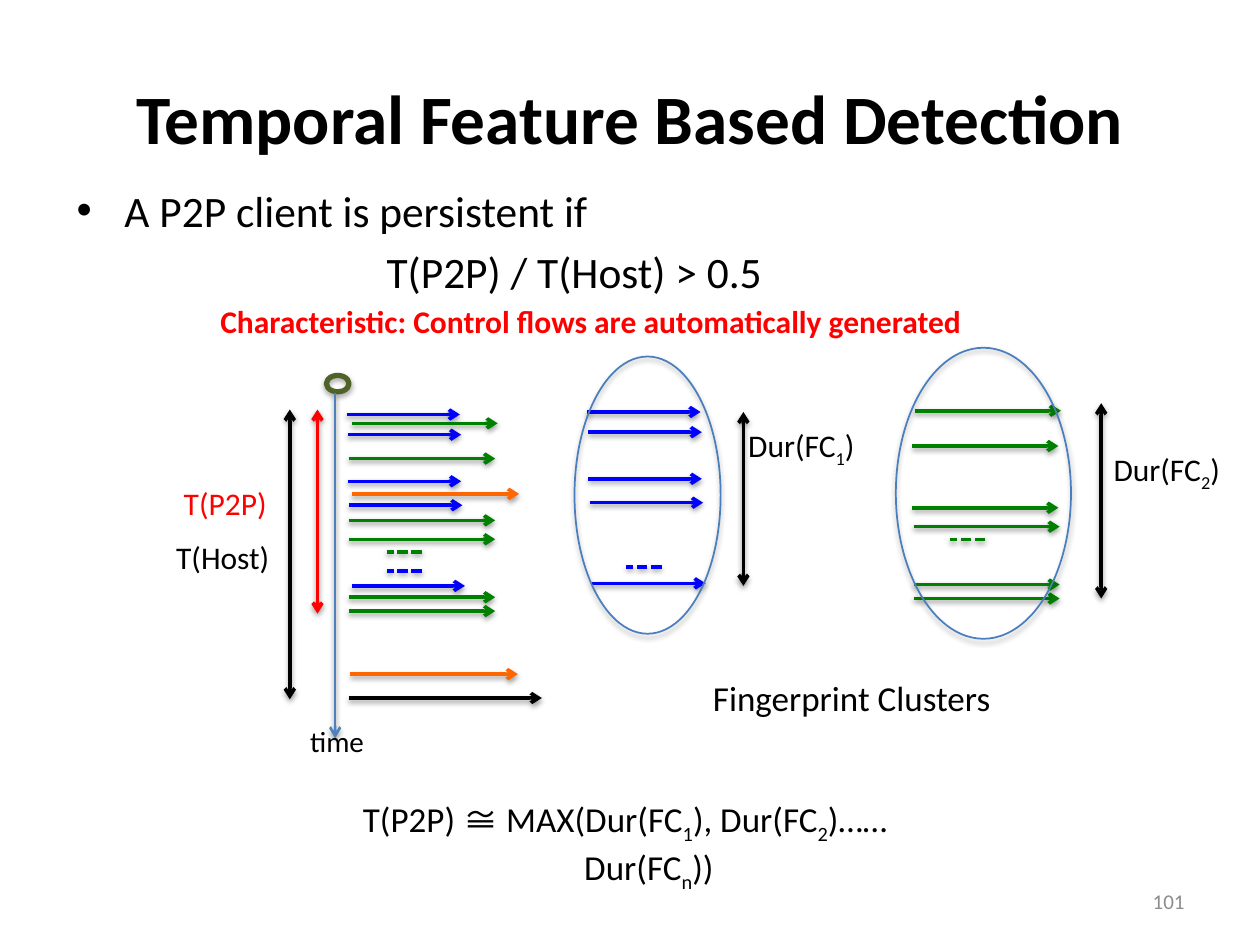
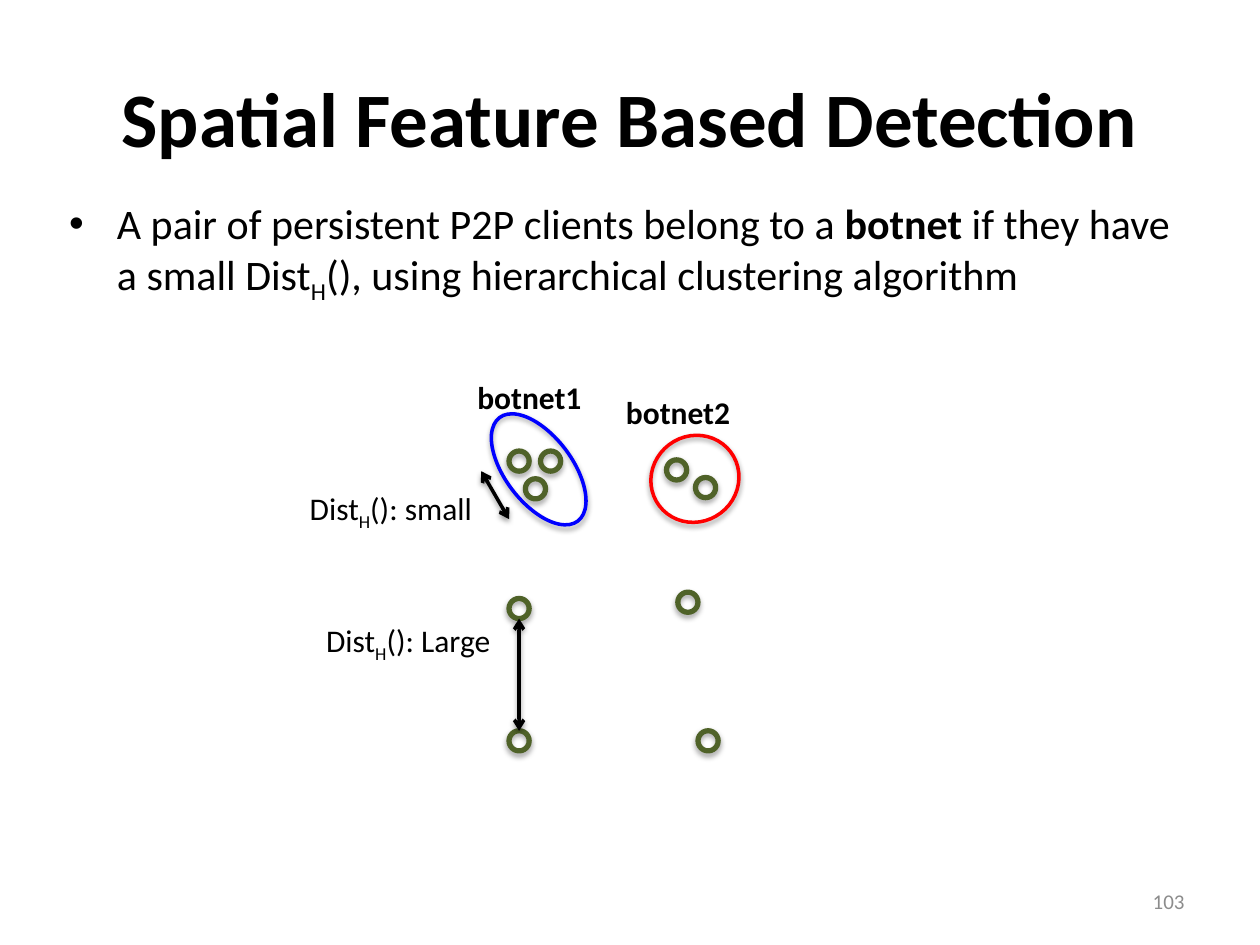
"""Build two slides on temporal and spatial features for botnet detection."""
from lxml import etree
from pptx import Presentation
from pptx.dml.color import RGBColor
from pptx.enum.dml import MSO_LINE
from pptx.enum.shapes import MSO_CONNECTOR, MSO_SHAPE
from pptx.enum.text import MSO_ANCHOR, PP_ALIGN
from pptx.oxml.ns import qn
from pptx.util import Inches, Pt

OVAL, STRAIGHT = MSO_SHAPE.OVAL, MSO_CONNECTOR.STRAIGHT
LEFT, CENTER, RIGHT = PP_ALIGN.LEFT, PP_ALIGN.CENTER, PP_ALIGN.RIGHT
TOP, MIDDLE = MSO_ANCHOR.TOP, MSO_ANCHOR.MIDDLE
DASHED = MSO_LINE.SQUARE_DOT

BLACK = RGBColor(0x00, 0x00, 0x00)
GRAY = RGBColor(0x8C, 0x8C, 0x8C)
RED = RGBColor(0xFF, 0x00, 0x00)
BLUE = RGBColor(0x00, 0x00, 0xFF)
GREEN = RGBColor(0x00, 0x80, 0x00)
ORANGE = RGBColor(0xFF, 0x66, 0x00)
OLIVE = RGBColor(0x4F, 0x62, 0x28)
STEEL = RGBColor(0x4F, 0x81, 0xBD)
RIM = RGBColor(0x4B, 0x7E, 0xBC)

FONT, MATH_FONT = "Calibri", "Noto Sans CJK JP"
COLUMNS, ROWS = 10, 7.5
HANG = 0.38
SUB, BOLD, MATH = "subscript", "bold", "math"

TEMPORAL = {"title": "Temporal Feature Based Detection", "title_size": 39.6, "number": "101"}
SPATIAL = {"title": "Spatial Feature Based Detection", "title_size": 44, "number": "103"}

PERSISTENT = "A P2P client is persistent if"
RATIO = "T(P2P) / T(Host) > 0.5"
BOTNET_RULE = ["A pair of persistent P2P clients belong to a ", ("botnet", BOLD),
               " if they have a small Dist", ("H", SUB),
               "(), using hierarchical clustering algorithm"]
ESTIMATE = ["T(P2P) ", ("≅", MATH), " MAX(Dur(FC", ("1", SUB), "), Dur(FC", ("2", SUB),
            ")……Dur(FC", ("n", SUB), "))"]

FLOW_LENGTH = {BLUE: 0.9, GREEN: 1.16, ORANGE: 1.33, BLACK: 1.53}
HOST_FLOWS = [
    (BLUE, [(2.75, 3.29), (2.76, 3.45), (2.76, 3.82), (2.77, 4.01), (2.79, 4.65)]),
    (GREEN, [(2.79, 3.36), (2.77, 3.64), (2.77, 4.13), (2.77, 4.28), (2.77, 4.74),
             (2.77, 4.85)]),
    (ORANGE, [(2.79, 3.92), (2.78, 5.35)]),
    (BLACK, [(2.77, 5.54)]),
]
CLUSTER_FLOWS = [
    (BLUE, [(4.66, 3.27), (4.67, 3.43), (4.67, 3.8), (4.68, 3.99), (4.7, 4.63)]),
    (GREEN, [(7.26, 3.26), (7.24, 3.54), (7.24, 4.03), (7.25, 4.18), (7.25, 4.64),
             (7.25, 4.75)]),
]
ELLIPSES = [(3.07, 4.53, BLUE), (3.07, 4.38, GREEN), (4.97, 4.5, BLUE), (7.54, 4.28, GREEN)]
ELLIPSIS_LENGTH = 0.28
CLUSTER_RIMS = [(4.56, 2.83, 1.16, 2.2), (7.11, 2.76, 1.39, 2.31)]
DURATIONS = [(2.52, 3.25, 4.87, RED), (2.3, 3.25, 5.55, BLACK),
             (5.9, 3.27, 4.65, BLACK), (8.74, 3.2, 4.75, BLACK)]
TEMPORAL_LABELS = [
    (["T(P2P)"], (1.36, 3.79, 0.87, 0.4), {"color": RED}),
    (["T(Host)"], (1.3, 4.22, 0.94, 0.4), {}),
    (["Dur(FC", ("1", SUB), ")"], (5.84, 3.33, 1.06, 0.4), {}),
    (["Dur(FC", ("2", SUB), ")"], (8.74, 3.52, 1.06, 0.4), {}),
    (["Fingerprint Clusters"], (5.56, 5.32, 2.42, 0.44), {"size": 20}),
    (["Characteristic: Control flows are automatically generated"],
     (1.65, 2.35, 6.66, 0.4), {"color": RED, "bold": True, "wrap": True}),
]

HOST_SIZE = 0.16
HOSTS = [(4.04, 3.58), (4.29, 3.58), (4.17, 3.8), (5.29, 3.65), (5.52, 3.79),
         (5.38, 4.7), (4.04, 4.75), (4.04, 5.8), (5.54, 5.8)]
BOTNETS = [((4.01, 3.21, 0.53, 1.03), BLUE), ((5.16, 3.46, 0.71, 0.68), RED)]
BOTNET_TILT = 142.9
DISTANCES = [((3.82, 3.74), (4.04, 4.12)), ((4.12, 4.91), (4.12, 5.8))]
SPATIAL_LABELS = [
    (["Dist", ("H", SUB), "(): small"], (2.36, 3.83, 1.52, 0.4), {}),
    (["Dist", ("H", SUB), "(): Large"], (2.49, 4.88, 1.53, 0.4), {}),
    (["botnet1"], (3.69, 2.95, 1.04, 0.4), {"bold": True}),
    (["botnet2"], (4.87, 3.07, 1.04, 0.4), {"bold": True}),
]


def place(lengths):
    return [Inches(length) for length in lengths]


def fill_paragraph(para, pieces, size=18, color=BLACK, bold=False, align=LEFT,
                   margin=0, indent=0, bullet=False):
    properties = para._p.get_or_add_pPr()
    properties.set("marL", str(Inches(margin)))
    properties.set("indent", str(Inches(indent)))
    if bullet:
        etree.SubElement(properties, qn("a:buFont")).set("typeface", "Arial")
        etree.SubElement(properties, qn("a:buChar")).set("char", "•")
    para.alignment = align
    font = para.font
    font.name, font.size, font.bold, font.color.rgb = FONT, Pt(size), bold, color
    for piece in pieces:
        text, kind = (piece, None) if isinstance(piece, str) else piece
        span = para.add_run()
        span.text = text
        if kind == SUB:
            span._r.get_or_add_rPr().set("baseline", "-25000")
        elif kind == BOLD:
            span.font.bold = True
        elif kind == MATH:
            span.font.name = MATH_FONT


def add_text(page, pieces, frame, wrap=False, anchor=TOP, **style):
    box = page.shapes.add_textbox(*place(frame))
    box.text_frame.word_wrap = wrap
    box.text_frame.vertical_anchor = anchor
    fill_paragraph(box.text_frame.paragraphs[0], pieces, **style)
    return box


def add_shadow(shape, distance, opacity):
    effects = etree.SubElement(shape.element.spPr, qn("a:effectLst"))
    shadow = etree.SubElement(effects, qn("a:outerShdw"), blurRad=str(Pt(3.1)),
                              dist=str(Pt(distance)), dir="5400000", rotWithShape="0")
    shade = etree.SubElement(shadow, qn("a:srgbClr"), val=str(BLACK))
    etree.SubElement(shade, qn("a:alpha"), val=str(opacity * 1000))


def add_line(page, start, end, color, width=2, ends=("tailEnd",), dash=None):
    line = page.shapes.add_connector(STRAIGHT, *place(start + end))
    line.line.color.rgb = color
    line.line.width = Pt(width)
    if dash:
        line.line.dash_style = dash
    outline = line.element.spPr.find(qn("a:ln"))
    for end_name in ends:
        etree.SubElement(outline, qn("a:" + end_name)).set("type", "arrow")
    add_shadow(line, 1.6, 38)


def add_span(page, start, end, color=BLACK):
    add_line(page, start, end, color, ends=("headEnd", "tailEnd"))


def add_ring(page, frame, color, width, tilt=0):
    ring = page.shapes.add_shape(OVAL, *place(frame))
    ring.rotation = tilt
    ring.fill.background()
    ring.line.color.rgb = color
    ring.line.width = Pt(width)
    add_shadow(ring, 1.8, 35)


def add_flows(page, groups):
    for color, starts in groups:
        for x, y in starts:
            add_line(page, (x, y), (x + FLOW_LENGTH[color], y), color)


def add_labels(page, labels):
    for pieces, frame, style in labels:
        add_text(page, pieces, frame, **style)


def add_page(deck, heading):
    page = deck.slides.add_slide(deck.slide_layouts[6])
    add_text(page, [heading["title"]], (0.5, 0.3, 9, 1.25), wrap=True, anchor=MIDDLE,
             size=heading["title_size"], bold=True, align=CENTER)
    add_text(page, [heading["number"]], (7.17, 6.95, 2.33, 0.4), wrap=True, anchor=MIDDLE,
             size=12, color=GRAY, align=RIGHT)
    return page


def build_temporal(deck):
    page = add_page(deck, TEMPORAL)
    body = add_text(page, [PERSISTENT], (0.51, 1.41, 9, 0.89), wrap=True, size=24.8,
                    margin=HANG, indent=-HANG, bullet=True)
    ratio = body.text_frame.add_paragraph()
    fill_paragraph(ratio, [RATIO], size=24.8, margin=2.46)
    ratio.space_before = Pt(5)
    add_text(page, ESTIMATE, (2.3, 6.28, 5.32, 0.61), wrap=True, size=20, align=CENTER,
             margin=HANG, indent=-HANG)
    for x, top, bottom, color in DURATIONS:
        add_span(page, (x, top), (x, bottom), color)
    add_ring(page, (2.59, 2.98, 0.18, 0.13), OLIVE, 3)
    add_line(page, (2.66, 3.12), (2.66, 5.86), STEEL, width=1.5)
    time = add_text(page, ["time"], (2.24, 5.75, 0.87, 0.34), size=16.6, align=CENTER)
    time.text_frame.paragraphs[0].line_spacing = 0.8
    add_flows(page, HOST_FLOWS + CLUSTER_FLOWS)
    for x, y, color in ELLIPSES:
        add_line(page, (x + ELLIPSIS_LENGTH, y), (x, y), color, ends=(), dash=DASHED)
    for frame in CLUSTER_RIMS:
        add_ring(page, frame, RIM, 1)
    add_labels(page, TEMPORAL_LABELS)


def build_spatial(deck):
    page = add_page(deck, SPATIAL)
    add_text(page, BOTNET_RULE, (0.45, 1.52, 9, 0.9), wrap=True, size=24,
             margin=HANG, indent=-HANG, bullet=True)
    for x, y in HOSTS:
        add_ring(page, (x, y, HOST_SIZE, HOST_SIZE), OLIVE, 3)
    for start, end in DISTANCES:
        add_span(page, start, end)
    for frame, color in BOTNETS:
        add_ring(page, frame, color, 2, BOTNET_TILT)
    add_labels(page, SPATIAL_LABELS)


def main():
    deck = Presentation()
    deck.slide_width, deck.slide_height = place((COLUMNS, ROWS))
    build_temporal(deck)
    build_spatial(deck)
    deck.save("out.pptx")


if __name__ == "__main__":
    main()
